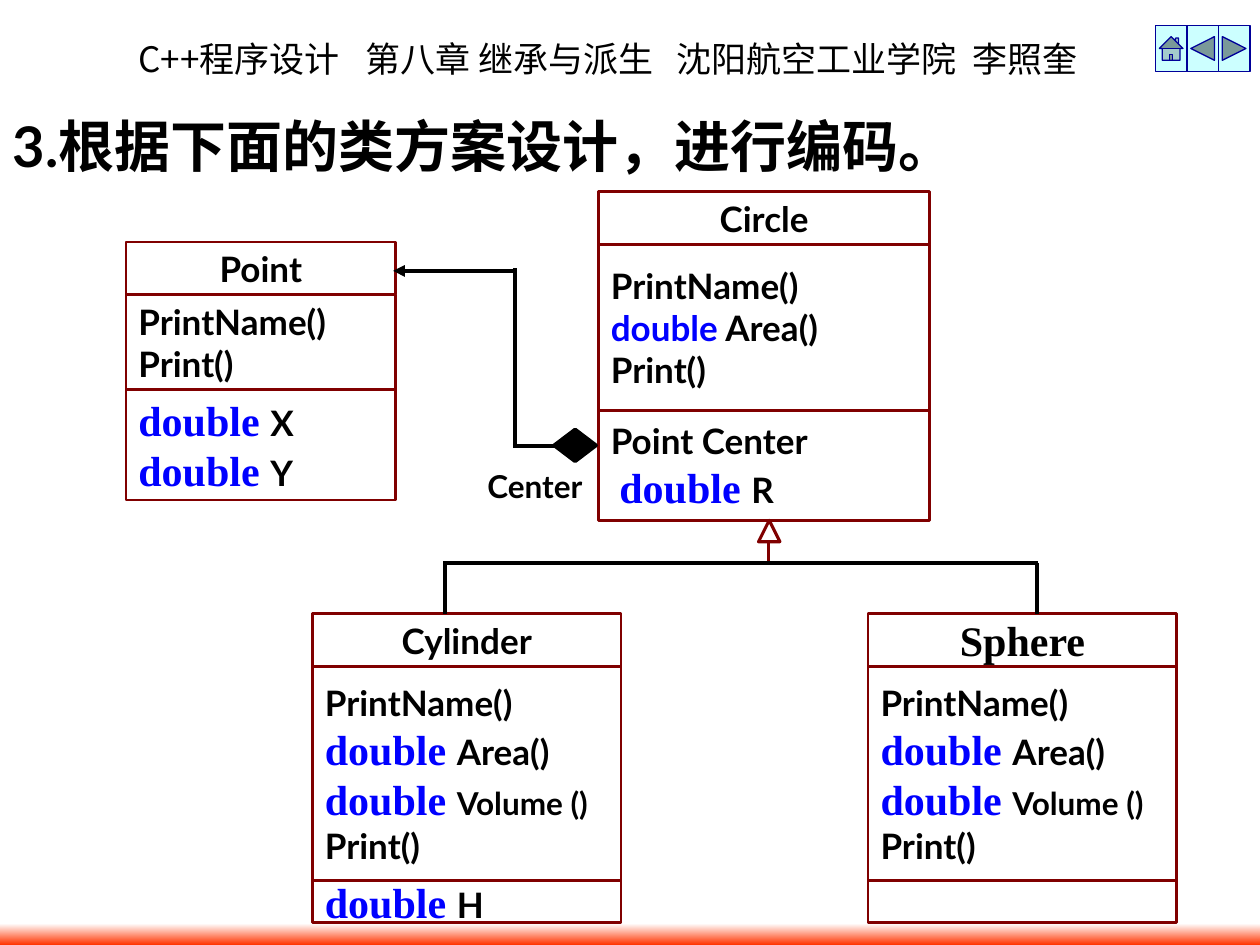
from lxml import etree
from pptx import Presentation
from pptx.dml.color import RGBColor as RGB
from pptx.enum.shapes import MSO_CONNECTOR as Link, MSO_SHAPE as Shape
from pptx.enum.text import MSO_ANCHOR as Anchor, MSO_AUTO_SIZE as Auto, PP_ALIGN as Align
from pptx.oxml.ns import qn
from pptx.util import Inches, Pt

COLORS = {"ink": "000000", "key": "0000FF", "edge": "800000", "white": "FFFFFF",
          "glow": "FF3300", "pale": "CCFFFF", "navy": "000099"}
HAN = "Noto Sans CJK SC"
SERIF = "Times New Roman"
# font, size, colour, bold
STYLES = {
    "body": ("Lato", 20, "ink", True),
    "small": ("Lato", 18, "ink", True),
    "blue": ("Lato", 20, "key", True),
    "key": (SERIF, 24, "key", True),
    "serif": (SERIF, 24, "ink", True),
    "title": ("Lato", 32, "ink", True),
    "han": (SERIF, 32, "ink", True),
    "head": (HAN, 20, "ink", False),
}
BREAK = "\n"


class Page:
    def __init__(self, deck):
        self.slide = deck.slides.add_slide(deck.slide_layouts[5])
        self.shapes = self.slide.shapes

    def color(self, name):
        return RGB.from_string(COLORS[name])

    def style(self, font, name):
        face, size, color, bold = STYLES[name]
        font.name, font.size, font.bold = face, Pt(size), bold
        font.color.rgb = self.color(color)
        latin = font._element.find(qn("a:latin"))
        east = etree.Element(qn("a:ea"), typeface=HAN)
        latin.addnext(east)

    def put(self, frame, lines, align=Align.LEFT, anchor=Anchor.MIDDLE, tabs=()):
        """Fill a frame; a line is a list of (text, style) runs."""
        frame.word_wrap = True
        frame.auto_size = Auto.NONE
        frame.vertical_anchor = anchor
        for i, runs in enumerate(lines):
            para = frame.add_paragraph() if i else frame.paragraphs[0]
            para.alignment = align
            para.space_before = Pt(0)
            if tabs:
                stops = etree.SubElement(para._p.get_or_add_pPr(), qn("a:tabLst"))
                for pos in tabs:
                    etree.SubElement(stops, qn("a:tab"), pos=str(Inches(pos)), algn="l")
            same = len({name for _, name in runs}) == 1
            if same:
                self.style(para.font, runs[0][1])
            for text, name in runs:
                if text == BREAK:
                    para.add_line_break()
                    continue
                run = para.add_run()
                run.text = text
                if not same:
                    self.style(run.font, name)

    def title(self, left, top, width, height, runs):
        box = self.shapes.title
        box.left, box.top = Inches(left), Inches(top)
        box.width, box.height = Inches(width), Inches(height)
        self.put(box.text_frame, [runs])

    def text(self, left, top, width, height, runs, tabs=()):
        box = self.shapes.add_textbox(*map(Inches, (left, top, width, height)))
        self.put(box.text_frame, [runs], anchor=Anchor.TOP, tabs=tabs)

    def shape(self, kind, left, top, width, height, fill=None, line="edge", weight=1.5):
        item = self.shapes.add_shape(kind, *map(Inches, (left, top, width, height)))
        item.shadow.inherit = False
        if fill:
            item.fill.solid()
            item.fill.fore_color.rgb = self.color(fill)
        else:
            item.fill.background()
        item.line.color.rgb = self.color(line)
        item.line.width = Pt(weight)
        return item

    def band(self, left, top, width, height):
        item = self.shape(Shape.RECTANGLE, left, top, width, height)
        item.line.fill.background()
        item.fill.gradient()
        item.fill.gradient_angle = 270
        for stop, name in zip(item.fill.gradient_stops, ("white", "glow")):
            stop.color.rgb = self.color(name)

    def uml(self, left, top, width, parts):
        """Stack (height, lines) compartments; the first holds the class name."""
        for i, (height, lines) in enumerate(parts):
            box = self.shape(Shape.RECTANGLE, left, top, width, height)
            if lines:
                align = Align.LEFT if i else Align.CENTER
                self.put(box.text_frame, lines, align)
            top += height

    def line(self, x1, y1, x2, y2, color="ink", weight=2.25, tail=None):
        item = self.shapes.add_connector(Link.STRAIGHT, *map(Inches, (x1, y1, x2, y2)))
        item.line.color.rgb = self.color(color)
        item.line.width = Pt(weight)
        if tail:
            etree.SubElement(item.line._get_or_add_ln(), qn("a:tailEnd"), type=tail)
        etree.SubElement(item._element.spPr, qn("a:effectLst"))


def body(text):
    return [(text, "body")]


def typed(text, name="body"):
    """A member that follows the keyword double."""
    return [("double ", "key"), (text, name)]


def main():
    deck = Presentation()
    deck.slide_width, deck.slide_height = Inches(10), Inches(7.5)
    page = Page(deck)

    page.text(1, 0.25, 8.25, 0.44,
              [("C++程序设计\t第八章 继承与派生\t沈阳航空工业学院\t李照奎", "head")],
              tabs=(1.8, 4.27, 6.62))
    page.band(0, 7.33, 10, 0.17)
    buttons = (Shape.ACTION_BUTTON_HOME, Shape.ACTION_BUTTON_BACK_OR_PREVIOUS,
               Shape.ACTION_BUTTON_FORWARD_OR_NEXT)
    for i, kind in enumerate(buttons):
        page.shape(kind, 9.17 + 0.25 * i, 0.2, 0.25, 0.37, "pale", "navy", 0.75)
    page.title(0, 0.83, 8.42, 0.64,
               [("3.", "title"), ("根据下面的类方案设计，进行编码。", "han")])

    name, show = body("PrintName()"), body("Print()")
    page.uml(1, 1.92, 2.14, [
        (0.42, [body("Point")]),
        (0.75, [name, show]),
        (0.88, [typed("X"), typed("Y")]),
    ])
    page.uml(4.75, 1.52, 2.63, [
        (0.42, [body("Circle")]),
        (1.32, [name, [("double", "blue"), (" Area()", "body")], show]),
        (0.87, [body("Point Center") + body(BREAK) + body(" ") + typed("R")]),
    ])
    solid = [name, typed("Area()"), typed("Volume ()", "small"), show]
    for left, label, data in (
        (2.48, body("Cylinder"), [typed("H")]),
        (6.89, [("Sphere", "serif")], []),
    ):
        page.uml(left, 4.87, 2.45, [(0.42, [label]), (1.7, solid), (0.33, data)])

    # Inheritance
    page.line(6.1, 4.46, 6.1, 4.29, "edge", 1.5)
    page.shape(Shape.ISOSCELES_TRIANGLE, 6.02, 4.13, 0.17, 0.17, weight=1.75)
    page.line(3.52, 4.47, 8.24, 4.47)
    for x in (3.53, 8.23):
        page.line(x, 4.47, x, 4.87)

    # Composition
    page.line(4.09, 2.13, 4.09, 3.54)
    page.line(4.07, 3.54, 4.66, 3.54, tail="diamond")
    page.line(4.07, 2.15, 3.12, 2.15, tail="triangle")
    page.shape(Shape.FLOWCHART_DECISION, 4.4, 3.41, 0.33, 0.25, "ink", "ink", 2.25)
    page.text(3.77, 3.66, 1.17, 0.4, [("Center", "small")])

    deck.save("out.pptx")


if __name__ == "__main__":
    main()
